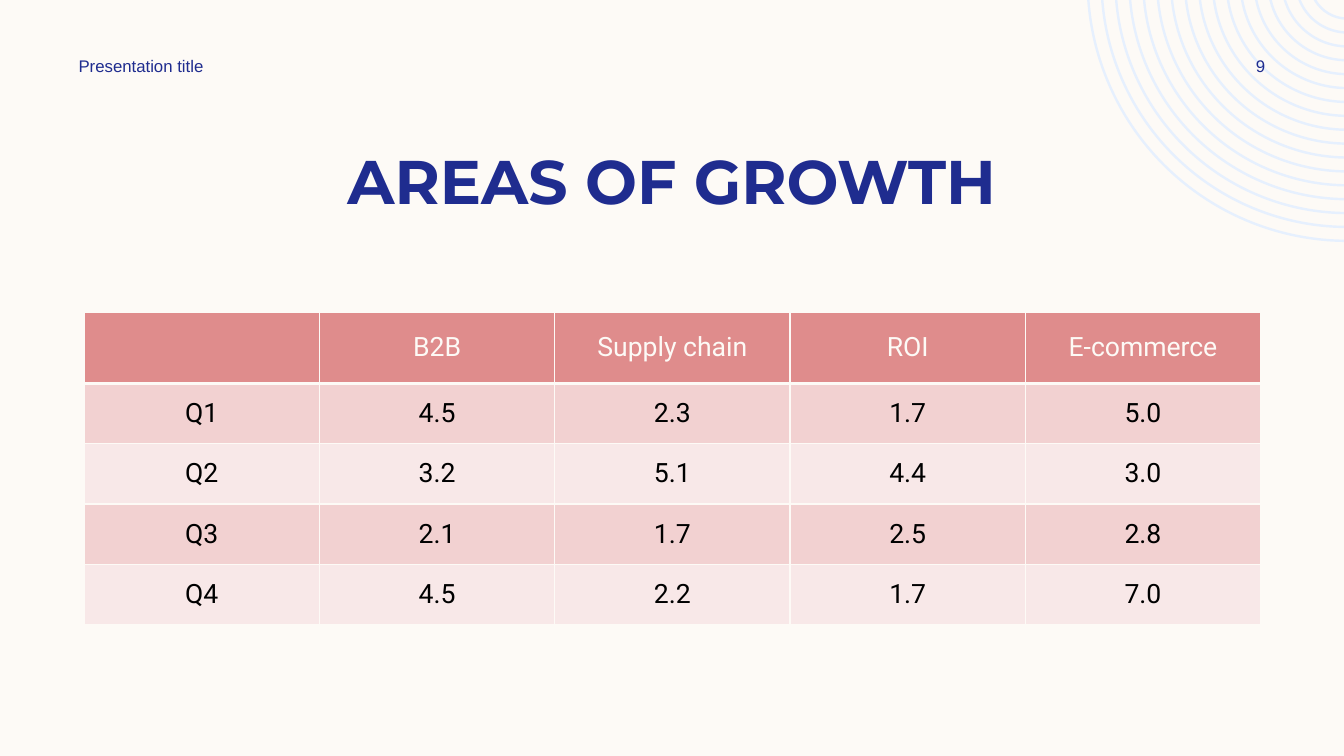
"""Build the quarterly "Areas of growth" table slide."""
from dataclasses import dataclass
from math import acos, asin, cos, degrees, sin

from lxml.etree import Element, SubElement
from pptx import Presentation
from pptx.dml.color import RGBColor as Color
from pptx.enum.text import MSO_ANCHOR as Anchor, PP_ALIGN as Align
from pptx.oxml.ns import qn
from pptx.util import Cm, Pt


@dataclass(frozen=True)
class Theme:
    background: str = "FDFAF6"
    navy: str = "1F2C8F"
    rings: str = "E6F0FE"
    header: str = "DF8C8C"
    bands: tuple = ("F2D1D1", "F8E8E8")
    body: str = "000000"
    title_size: int = 44
    table_size: int = 19
    small_size: int = 12


theme = Theme()


def write(frame, text, align, font_format, color):
    paragraph = frame.paragraphs[0]
    paragraph.alignment = align
    run = paragraph.add_run()
    run.text = text
    for name, value in font_format.items():
        setattr(run.font, name, value)
    run.font.color.rgb = Color.from_string(color)


def add_border(cell, side, position, points):
    properties = cell._tc.get_or_add_tcPr()
    line = SubElement(properties, qn(f"a:ln{side}"), w=str(Pt(points)))
    fill = SubElement(line, qn("a:solidFill"))
    SubElement(fill, qn("a:srgbClr"), val=theme.background)
    properties.insert(position, line)


presentation = Presentation()
presentation.slide_width, presentation.slide_height = Cm(33.87), Cm(19.05)
slide = presentation.slides.add_slide(presentation.slide_layouts[6])
slide.background.fill.solid()
slide.background.fill.fore_color.rgb = Color.from_string(theme.background)

center_x, center_y, slide_right = 33.96, -0.48, 33.87
outer_radius, ring_count, ring_step, ring_width = 6.58, 17, 0.35, 0.06
rings, arcs = [], []
for index in range(ring_count):
    outline = []
    for inset, direction in ((0, 1), (ring_width, -1)):
        radius = outer_radius - index * ring_step - inset
        angles = [asin(-center_y / radius), acos((center_x - slide_right) / radius)][::direction]
        outline += [
            (Cm(center_x - radius * cos(angle)), Cm(center_y + radius * sin(angle)))
            for angle in angles
        ]
        first, last = map(degrees, angles)
        arcs.append({
            "wR": str(Cm(radius)), "hR": str(Cm(radius)),
            "stAng": str(round((180 - first) * 60000)),
            "swAng": str(round((first - last) * 60000)),
        })
    rings.append(outline)

builder = slide.shapes.build_freeform(*rings[0][0])
for index, outline in enumerate(rings):
    if index:
        builder.move_to(*outline[0])
    builder.add_line_segments(outline[1:], close=True)
ring_shape = builder.convert_to_shape()
edges = list(ring_shape._element.iter(qn("a:lnTo")))
curved_edges = [edge for index, edge in enumerate(edges) if index % 3 != 1]
for edge, arc in zip(curved_edges, arcs):
    edge.getparent().replace(edge, Element(qn("a:arcTo"), arc))
ring_shape.shadow.inherit = False
ring_shape.fill.solid()
ring_shape.fill.fore_color.rgb = Color.from_string(theme.rings)
ring_shape.line.fill.background()

title_font = {"name": "Montserrat", "size": Pt(theme.title_size), "bold": True}
small_font = {"name": "Arial", "size": Pt(theme.small_size)}
labels = [
    ("AREAS OF GROWTH", (2.12, 3.38, 29.63, 2.13), Align.CENTER, Anchor.BOTTOM, title_font),
    ("Presentation title", (1.73, 1.27, 8.89, 0.76), Align.LEFT, Anchor.MIDDLE, small_font),
    ("9", (30.4, 1.27, 2.74, 0.76), Align.CENTER, Anchor.MIDDLE, small_font),
]
for text, place, align, anchor, font_format in labels:
    frame = slide.shapes.add_textbox(*map(Cm, place)).text_frame
    frame_format = {
        "word_wrap": True, "vertical_anchor": anchor,
        "margin_top": Cm(0.05), "margin_bottom": Cm(0.05),
    }
    for name, value in frame_format.items():
        setattr(frame, name, value)
    write(frame, text, align, font_format, theme.navy)

rows = [
    ("", "B2B", "Supply chain", "ROI", "E-commerce"),
    ("Q1", "4.5", "2.3", "1.7", "5.0"),
    ("Q2", "3.2", "5.1", "4.4", "3.0"),
    ("Q3", "2.1", "1.7", "2.5", "2.8"),
    ("Q4", "4.5", "2.2", "1.7", "7.0"),
]
column_width, header_height, row_height = 5.93, 1.8, 1.52
row_heights = [header_height] + [row_height] * (len(rows) - 1)
table = slide.shapes.add_table(
    len(rows), len(rows[0]), Cm(2.12), Cm(7.86),
    Cm(column_width * len(rows[0])), Cm(sum(row_heights)),
).table
table.horz_banding = table.first_row = False
for column in table.columns:
    column.width = Cm(column_width)

cell_format = {
    "vertical_anchor": Anchor.MIDDLE,
    "margin_left": Cm(0.28), "margin_right": Cm(0.28),
    "margin_top": Cm(0.13), "margin_bottom": Cm(0.13),
}
table_font = {"name": "Roboto", "size": Pt(theme.table_size)}
for row_index, values in enumerate(rows):
    table.rows[row_index].height = Cm(row_heights[row_index])
    is_header = row_index == 0
    fill_color = theme.header if is_header else theme.bands[(row_index - 1) % 2]
    text_color = theme.background if is_header else theme.body
    border_widths = {
        "L": 1, "R": 1, "T": 3 if row_index == 1 else 1, "B": 3 if is_header else 1,
    }
    for column_index, value in enumerate(values):
        cell = table.cell(row_index, column_index)
        for name, setting in cell_format.items():
            setattr(cell, name, setting)
        cell.fill.solid()
        cell.fill.fore_color.rgb = Color.from_string(fill_color)
        for position, (side, points) in enumerate(border_widths.items()):
            add_border(cell, side, position, points)
        if value:
            write(cell.text_frame, value, Align.CENTER, table_font, text_color)

presentation.save("out.pptx")
